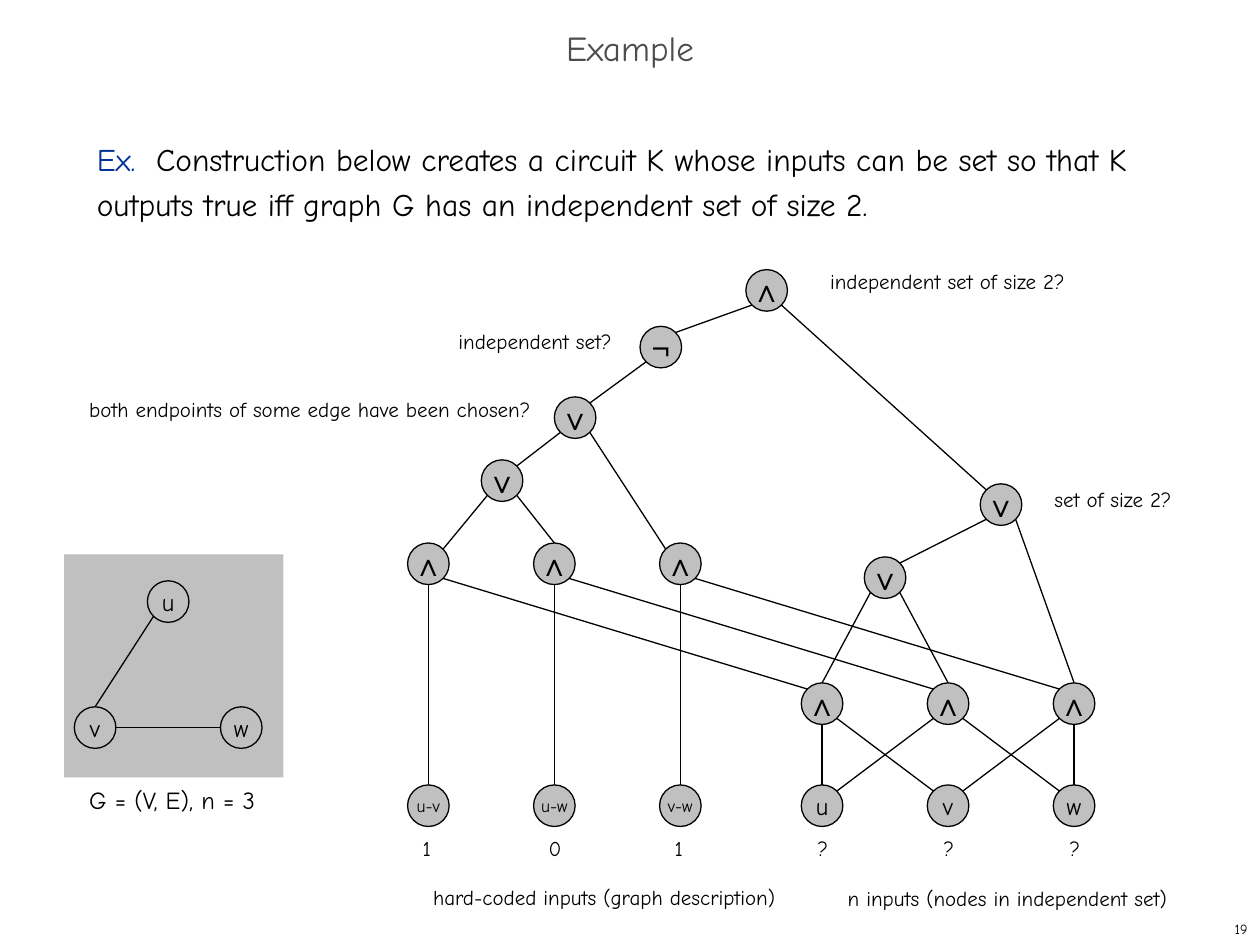
from lxml.etree import SubElement
from pptx import Presentation
from pptx.dml.color import RGBColor
from pptx.enum.shapes import MSO_CONNECTOR, MSO_SHAPE
from pptx.enum.text import MSO_ANCHOR, MSO_AUTO_SIZE, PP_ALIGN
from pptx.oxml.ns import qn
from pptx.util import Inches, Pt

BLACK = RGBColor(0x00, 0x00, 0x00)
GRAY = RGBColor(0xC0, 0xC0, 0xC0)
TITLE_GRAY = RGBColor(0x4D, 0x4D, 0x4D)
BLUE = RGBColor(0x00, 0x33, 0x99)

COLUMNS, ROWS = 10, 7.5
NODE = 0.33
INSET = 0.15  # share of a node cut off by its diagonal points
SITES = {
    "top": (0.5, 0), "bottom": (0.5, 1), "left": (0, 0.5), "right": (1, 0.5),
    "top left": (INSET, INSET), "top right": (1 - INSET, INSET),
    "bottom left": (INSET, 1 - INSET), "bottom right": (1 - INSET, 1 - INSET),
}


class CircuitSlide:
    font_name = "Comic Neue"
    symbol_font = "Arial"

    def __init__(self, presentation):
        self.slide = presentation.slides.add_slide(presentation.slide_layouts[5])
        self.column = presentation.slide_width / COLUMNS
        self.row = presentation.slide_height / ROWS
        self.nodes = {}

    def box(self, left, top, width, height):
        return (round(left * self.column), round(top * self.row),
                round(width * self.column), round(height * self.row))

    def style(self, run, size, color=BLACK, font_name=None):
        run.font.size = Pt(size)
        run.font.name = font_name or self.font_name
        run.font.color.rgb = color

    def title(self, text, *place):
        shape = self.slide.shapes.title
        shape.left, shape.top, shape.width, shape.height = self.box(*place)
        frame = shape.text_frame
        frame.text = text
        frame.vertical_anchor = MSO_ANCHOR.MIDDLE
        paragraph = frame.paragraphs[0]
        paragraph.alignment = PP_ALIGN.CENTER
        paragraph.line_spacing = 0.7
        self.style(paragraph.runs[0], 20, TITLE_GRAY)

    def statement(self, lead, text, tab, *place):
        frame = self.slide.shapes.add_textbox(*self.box(*place)).text_frame
        frame.word_wrap = True
        paragraph = frame.paragraphs[0]
        paragraph.line_spacing = Pt(26)
        tabs = SubElement(paragraph._p.get_or_add_pPr(), qn("a:tabLst"))
        SubElement(tabs, qn("a:tab"), pos=str(round(tab * self.column)), algn="l")
        for words, color in ((lead + "\t", BLUE), (text, BLACK)):
            run = paragraph.add_run()
            run.text = words
            self.style(run, 18, color)

    def label(self, text, left, top, width, height=0.3, size=12,
              alignment=PP_ALIGN.LEFT):
        shape = self.slide.shapes.add_textbox(*self.box(left, top, width, height))
        frame = shape.text_frame
        frame.text = text
        frame.word_wrap = False
        frame.auto_size = MSO_AUTO_SIZE.SHAPE_TO_FIT_TEXT
        frame.paragraphs[0].alignment = alignment
        self.style(frame.paragraphs[0].runs[0], size)

    def panel(self, *place):
        shape = self.slide.shapes.add_shape(MSO_SHAPE.RECTANGLE, *self.box(*place))
        shape.shadow.inherit = False
        shape.fill.solid()
        shape.fill.fore_color.rgb = GRAY
        shape.line.fill.background()

    def node(self, name, text, left, top, size=18):
        shape = self.slide.shapes.add_shape(
            MSO_SHAPE.OVAL, *self.box(left, top, NODE, NODE))
        shape.shadow.inherit = False
        shape.fill.solid()
        shape.fill.fore_color.rgb = GRAY
        shape.line.color.rgb = BLACK
        shape.line.width = Pt(0.75)
        frame = shape.text_frame
        frame.text = text
        frame.word_wrap = False
        frame.vertical_anchor = MSO_ANCHOR.MIDDLE
        paragraph = frame.paragraphs[0]
        paragraph.alignment = PP_ALIGN.CENTER
        font_name = self.symbol_font if text in "∧∨¬" else self.font_name
        self.style(paragraph.runs[0], size, BLACK, font_name)
        self.nodes[name] = shape

    def point(self, name, site):
        shape = self.nodes[name]
        across, down = SITES[site]
        return (round(shape.left + across * shape.width),
                round(shape.top + down * shape.height))

    def edge(self, start, start_site, end, end_site):
        connector = self.slide.shapes.add_connector(
            MSO_CONNECTOR.STRAIGHT,
            *self.point(start, start_site), *self.point(end, end_site))
        connector.line.color.rgb = BLACK
        connector.line.width = Pt(0.75)
        SubElement(connector._element.spPr, qn("a:effectLst"))
        if end_site == "top":
            connector.end_connect(self.nodes[end], 0)


def main():
    presentation = Presentation()
    presentation.slide_width = Inches(10)
    presentation.slide_height = Inches(7.5)
    circuit = CircuitSlide(presentation)

    # Title and statement
    circuit.title("Example", 0, 0.17, 10, 0.5)
    circuit.statement(
        "Ex.",
        "Construction below creates a circuit K whose inputs can be set so that K "
        "outputs true iff graph G has an independent set of size 2.",
        0.47, 0.67, 1, 8.58, 5.92)

    # Gates in the upper part of the circuit
    for name, symbol, left, top in (
            ("output", "∧", 5.92, 2.14), ("not", "¬", 5.08, 2.59),
            ("any edge", "∨", 4.4, 3.15), ("first edges", "∨", 3.82, 3.65),
            ("size 2", "∨", 7.78, 3.84), ("first pairs", "∨", 6.86, 4.42)):
        circuit.node(name, symbol, left, top)

    # Columns of edge inputs and node inputs, with their gates and values
    edge_inputs = zip(("u-v", "u-w", "v-w"), "101")
    for index, (pair, value) in enumerate(zip(("u-v", "u-w", "v-w"), "101")):
        left = 3.235 + index
        circuit.node(f"edge gate {index}", "∧", left, 4.31)
        circuit.node(pair, pair, left, 6.23, size=10)
        circuit.label(value, left + 0.02, 6.58, 0.28)
        circuit.edge(f"edge gate {index}", "bottom", pair, "top")
    for index, name in enumerate("uvw"):
        left = 6.36 + index
        circuit.node(f"pair gate {index}", "∧", left, 5.42)
        circuit.node(name, name, left, 6.23, size=14)
        circuit.label("?", left + 0.03, 6.58, 0.29)
        circuit.edge(f"edge gate {index}", "bottom right",
                     f"pair gate {index}", "top left")

    # Graph G
    circuit.panel(0.51, 4.4, 1.74, 1.77)
    for name, left, top in (("u", 1.17, 4.61), ("v", 0.59, 5.61), ("w", 1.75, 5.61)):
        circuit.node(f"graph {name}", name, left, top, size=14)
    circuit.label("G = (V, E), n = 3", 0.61, 6.18, 1.54, 0.33, size=14)

    # Edges of the circuit and of the graph
    for edge in (
            ("output", "bottom left", "not", "top right"),
            ("output", "bottom right", "size 2", "top left"),
            ("not", "bottom left", "any edge", "top right"),
            ("any edge", "bottom left", "first edges", "top right"),
            ("any edge", "bottom right", "edge gate 2", "top left"),
            ("first edges", "bottom left", "edge gate 0", "top right"),
            ("first edges", "bottom right", "edge gate 1", "top"),
            ("size 2", "bottom left", "first pairs", "top right"),
            ("size 2", "bottom right", "pair gate 2", "top"),
            ("first pairs", "bottom left", "pair gate 0", "top"),
            ("first pairs", "bottom right", "pair gate 1", "top"),
            ("pair gate 0", "bottom", "u", "top"),
            ("pair gate 0", "bottom right", "v", "top left"),
            ("pair gate 1", "bottom left", "u", "top right"),
            ("pair gate 1", "bottom right", "w", "top left"),
            ("pair gate 2", "bottom left", "v", "top right"),
            ("pair gate 2", "bottom", "w", "top"),
            ("graph u", "bottom left", "graph v", "top"),
            ("graph w", "left", "graph v", "right")):
        circuit.edge(*edge)

    # Explanations and slide number
    for text, left, top, width in (
            ("independent set of size 2?", 6.49, 2.08, 2.07),
            ("independent set?", 3.54, 2.56, 1.42),
            ("both endpoints of some edge have been chosen?", 0.61, 3.1, 3.71),
            ("set of size 2?", 8.27, 3.81, 1.14),
            ("hard-coded inputs (graph description)", 3.34, 6.97, 2.93),
            ("n inputs (nodes in independent set)", 6.63, 6.98, 2.74)):
        circuit.label(text, left, top, width)
    circuit.label("19", 9.69, 7.26, 0.31, 0.23, size=8, alignment=PP_ALIGN.RIGHT)

    presentation.save("out.pptx")


if __name__ == "__main__":
    main()
